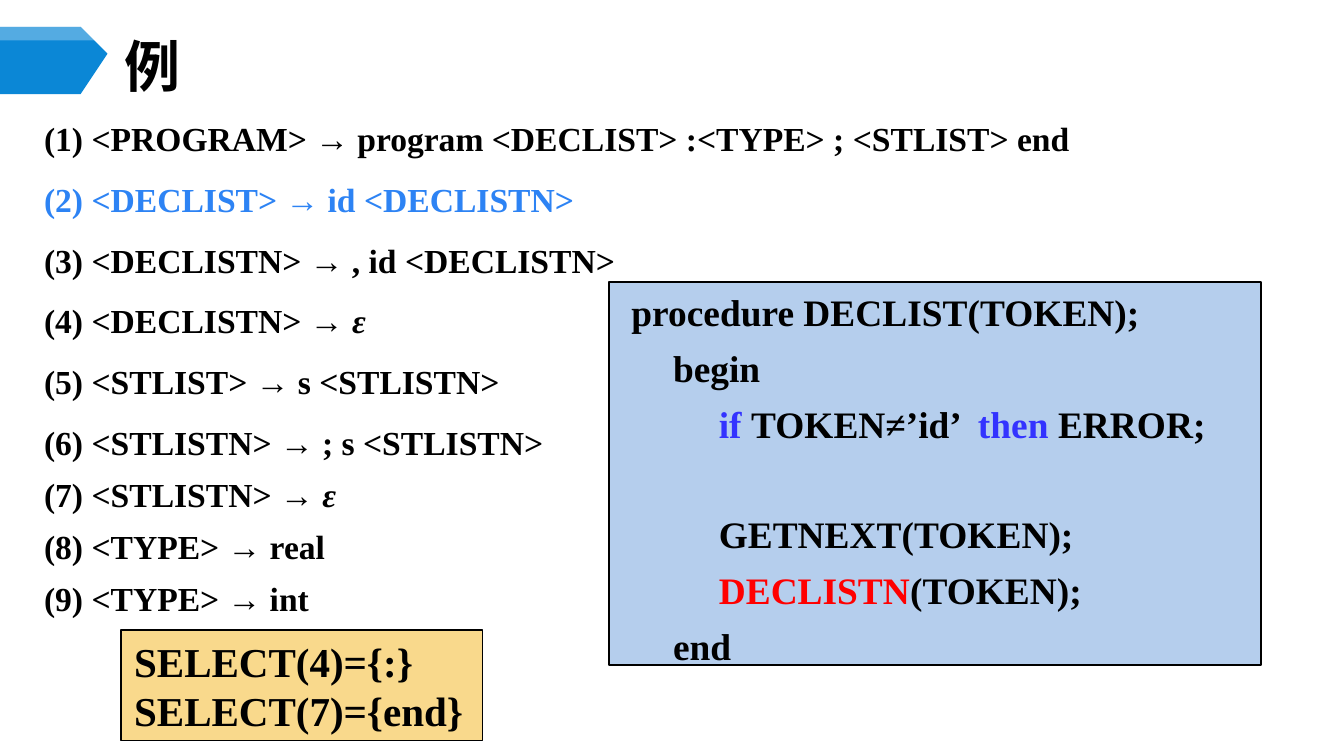
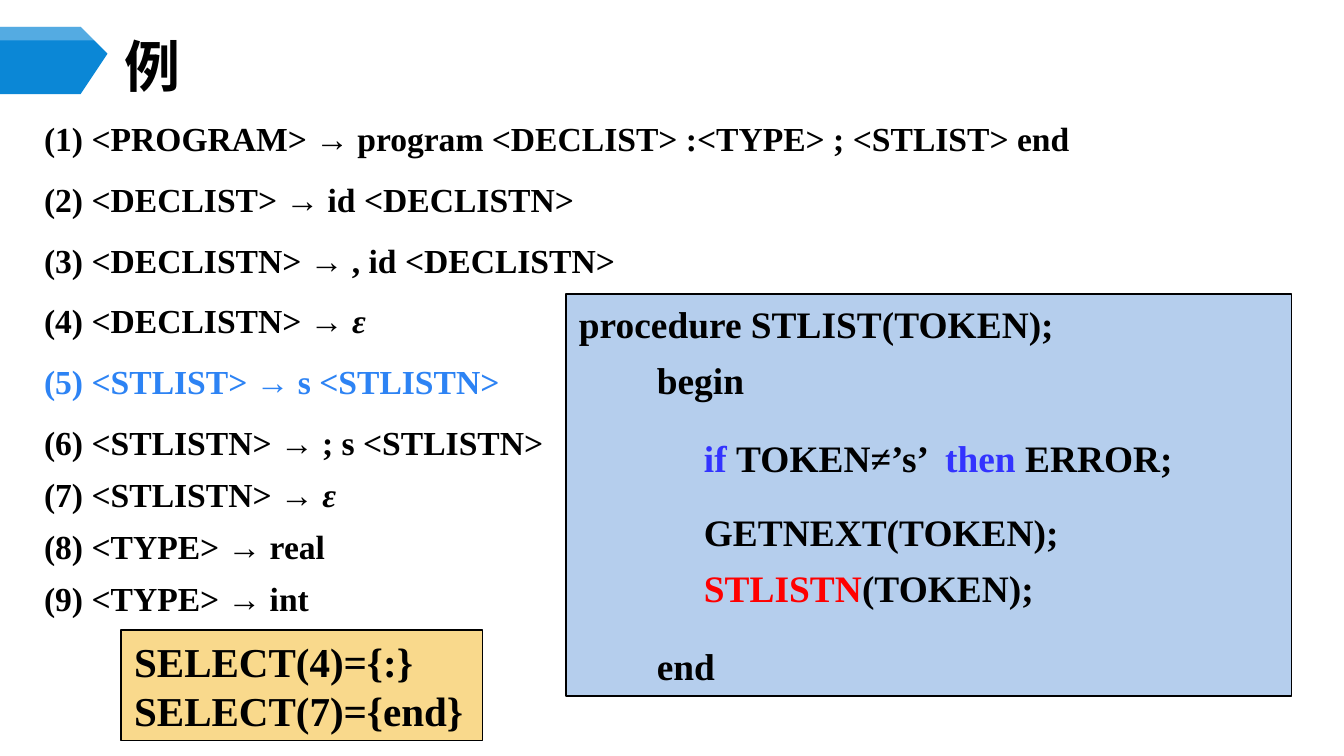
from lxml.etree import SubElement
from pptx import Presentation
from pptx.dml.color import RGBColor
from pptx.enum.shapes import MSO_SHAPE
from pptx.enum.text import MSO_ANCHOR, MSO_AUTO_SIZE, PP_ALIGN
from pptx.oxml.ns import qn
from pptx.util import Inches, Pt

COLORS = {
    "ink": "000000",
    "band": "0B87D6",
    "sheen": "FFFFFF",
    "focus": "2D83F4",
    "select": "F9D98C",
    "code": "B5CEED",
    "keyword": "3333FF",
    "call": "FF0000",
}
LATIN = "Times New Roman"
CJK = "Noto Sans CJK SC"
CELL = Inches(0.1)
COLUMNS, ROWS = 100, 56.25

BAND = [(0, 2.1), (5.9, 2.1), (8.3, 4.5), (5.9, 6.9), (0, 6.9)]
SHEEN = [(0, 2.1), (7.8, 2.1), (8.3, 2.6), (7.8, 3.1), (0, 3.1)]

GRAMMAR = [
    "(1) <PROGRAM> → program <DECLIST> :<TYPE> ; <STLIST> end",
    "(2) <DECLIST> → id <DECLISTN>",
    "(3) <DECLISTN> → , id <DECLISTN>",
    "(4) <DECLISTN> → ε",
    "(5) <STLIST> → s <STLISTN>",
    "(6) <STLISTN> → ; s <STLISTN>",
    "(7) <STLISTN> → ε",
    "(8) <TYPE> → real",
    "(9) <TYPE> → int",
]
SELECT_SETS = ["SELECT(4)={:}", "SELECT(7)={end}"]

EXAMPLES = [
    {
        "rule": 2, "procedure": "DECLIST", "token": "id",
        "area": (45.3, 21, 48.5, 28.5),
        "indents": (0.07, 0.38, 0.72),
        "gaps": (0, 6, 6, 35, 6, 6),
    },
    {
        "rule": 5, "procedure": "STLIST", "token": "s",
        "area": (42.1, 21.9, 54, 29.9),
        "indents": (0, 0.58, 0.93),
        "gaps": (0, 6, 17.7, 16, 6, 17.7),
    },
]


def add_line(frame, number, runs, size, space_before=0):
    line = frame.paragraphs[0] if number == 0 else frame.add_paragraph()
    line.alignment = PP_ALIGN.LEFT
    line.space_before = Pt(space_before if number else 0)
    for text, color, italic in runs:
        run = line.add_run()
        run.text = text
        run.font.name = LATIN
        run.font.size = Pt(size)
        run.font.bold = True
        run.font.italic = italic
        run.font.color.rgb = RGBColor.from_string(COLORS[color])
    return line


def paint(shape, fill, outlined=False):
    shape.shadow.inherit = False
    shape.fill.solid()
    shape.fill.fore_color.rgb = RGBColor.from_string(COLORS[fill])
    if outlined:
        shape.line.color.rgb = RGBColor.from_string(COLORS["ink"])
        shape.line.width = Pt(1)
    else:
        shape.line.fill.background()


deck = Presentation()
deck.slide_width = int(COLUMNS * CELL)
deck.slide_height = int(ROWS * CELL)

for example in EXAMPLES:
    slide = deck.slides.add_slide(deck.slide_layouts[5])

    for outline, color in ((BAND, "band"), (SHEEN, "sheen")):
        builder = slide.shapes.build_freeform(*outline[0], scale=CELL)
        builder.add_line_segments(outline[1:], close=True)
        ribbon = builder.convert_to_shape()
        paint(ribbon, color)
    tint = ribbon.fill._xPr.find(qn("a:solidFill"))[0]
    SubElement(tint, qn("a:alpha"), val="30000")

    title = slide.shapes.title
    title.left, title.top, title.width, title.height = (
        int(n * CELL) for n in (8.3, 2.9, 86.7, 3.9))
    title.text_frame.auto_size = MSO_AUTO_SIZE.NONE
    title.text_frame.vertical_anchor = MSO_ANCHOR.MIDDLE
    heading = add_line(title.text_frame, 0, [("例", "ink", False)], 30).runs[0]
    heading.font.name = CJK
    SubElement(heading.font._element, qn("a:ea"), typeface=CJK)

    rules = slide.shapes.add_textbox(
        *(int(n * CELL) for n in (2.3, 7.4, 95.3, 39.1))).text_frame
    rules.word_wrap = True
    for number, rule in enumerate(GRAMMAR):
        color = "focus" if number + 1 == example["rule"] else "ink"
        body, epsilon, _ = rule.partition("ε")
        runs = [(body, color, False)]
        if epsilon:
            runs.append((epsilon, color, True))
        line = add_line(rules, number, runs, 18, 4.5 if number < 6 else 0)
        line.line_spacing = Pt(28)

    select_box = slide.shapes.add_shape(
        MSO_SHAPE.RECTANGLE, *(int(n * CELL) for n in (9, 46.9, 26.9, 8.2)))
    paint(select_box, "select", outlined=True)
    select_box.text_frame.word_wrap = False
    select_box.text_frame.vertical_anchor = MSO_ANCHOR.MIDDLE
    for number, select_set in enumerate(SELECT_SETS):
        add_line(select_box.text_frame, number, [(select_set, "ink", False)], 22)

    code_box = slide.shapes.add_shape(
        MSO_SHAPE.RECTANGLE, *(int(n * CELL) for n in example["area"]))
    paint(code_box, "code", outlined=True)
    code_box.text_frame.word_wrap = True
    code_box.text_frame.vertical_anchor = MSO_ANCHOR.TOP
    procedure = example["procedure"]
    listing = [
        (0, [(f"procedure {procedure}(TOKEN);", "ink")]),
        (1, [("begin", "ink")]),
        (2, [("if ", "keyword"), (f"TOKEN≠’{example['token']}’ ", "ink"),
             (" then ", "keyword"), ("ERROR;", "ink")]),
        (2, [("GETNEXT(TOKEN);", "ink")]),
        (2, [(f"{procedure}N", "call"), ("(TOKEN);", "ink")]),
        (1, [("end", "ink")]),
    ]
    for number, (depth, parts) in enumerate(listing):
        runs = [(text, color, False) for text, color in parts]
        line = add_line(code_box.text_frame, number, runs, 20, example["gaps"][number])
        line._p.get_or_add_pPr().set("marL", str(Inches(example["indents"][depth])))

deck.save("out.pptx")
